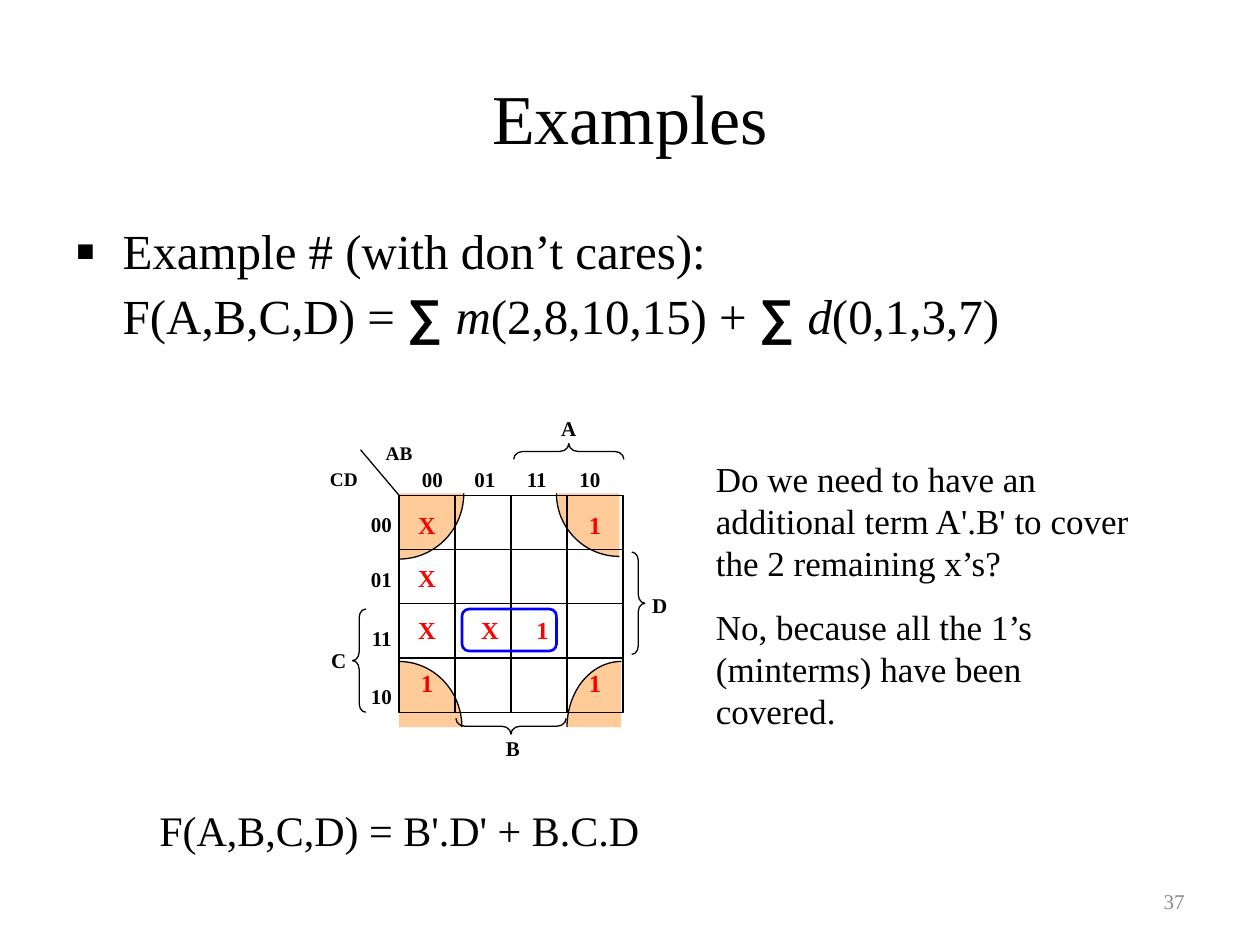
from lxml import etree
from pptx import Presentation
from pptx.dml.color import RGBColor
from pptx.enum.shapes import MSO_CONNECTOR, MSO_SHAPE
from pptx.enum.text import MSO_ANCHOR, MSO_AUTO_SIZE, PP_ALIGN
from pptx.oxml.ns import qn
from pptx.util import Pt

LEFT, CENTER, RIGHT = PP_ALIGN.LEFT, PP_ALIGN.CENTER, PP_ALIGN.RIGHT
TOP, MIDDLE = MSO_ANCHOR.TOP, MSO_ANCHOR.MIDDLE
NO_FIT, GROW = MSO_AUTO_SIZE.NONE, MSO_AUTO_SIZE.SHAPE_TO_FIT_TEXT
ARC, RECTANGLE, ROUNDED = MSO_SHAPE.ARC, MSO_SHAPE.RECTANGLE, MSO_SHAPE.ROUNDED_RECTANGLE
LEFT_BRACE, RIGHT_BRACE = MSO_SHAPE.LEFT_BRACE, MSO_SHAPE.RIGHT_BRACE
STRAIGHT = MSO_CONNECTOR.STRAIGHT

THEME = {
    "serif": "Times New Roman", "sans": "Arial",
    "ink": RGBColor(0, 0, 0), "mark": RGBColor(255, 0, 0),
    "loop": RGBColor(0, 0, 255), "corner": RGBColor(255, 204, 153),
    "muted": RGBColor(137, 137, 137),
    "title": 40, "body": 28, "answer": 24, "remark": 20,
    "cell": 14, "label": 12, "axis": 11, "thin": 0.75, "thick": 1.5,
}

# Content: boxes are left, top, width, height in points
SUM = ("∑ ", {"name": THEME["sans"], "bold": True})
STATEMENT = [
    [("Example # (with don’t cares):", {})],
    [("F(A,B,C,D) = ", {}), SUM, ("m", {"italic": True}), ("(2,8,10,15) + ", {}),
     SUM, ("d", {"italic": True}), ("(0,1,3,7)", {})],
]
REMARKS = [
    "Do we need to have an additional term A'.B' to cover the 2 remaining x’s?",
    "No, because all the 1’s (minterms) have been covered.",
]
ANSWER = "F(A,B,C,D) = B'.D' + B.C.D"
CODES = ["00", "01", "11", "10"]
CODE_GAPS = [0, 17, 19, 19]
CODE_PITCH = 30
MAP_ROWS = ["X  1", "X   ", "XX1 ", "1  1"]  # one character per cell
MARK_LEFTS, MARK_TOP, MARK_PITCH = [228, 264, 294, 324], 288, 30
GRID_BOX = (228, 283, 128, 124)
# Quarter ellipses: centre x, centre y, radius x, radius y, start angle
CORNERS = [
    (355, 415.5, 31, 37.5, 180), (228, 415.5, 36, 37.5, 270),
    (354, 282, 36, 36, 90), (228, 282, 37, 37.5, 0),
]
# Kind, box before rotation, rotation
BRACES = [
    (LEFT_BRACE, (201.5, 348, 7.5, 59), 0), (LEFT_BRACE, (320.5, 226.5, 9, 63), 90),
    (LEFT_BRACE, (287.5, 383.5, 9, 63), 270), (RIGHT_BRACE, (361, 315.5, 7.5, 58.5), 0),
]
VARIABLES = [
    ("C", (181.5, 366.5, 24, 25), "label"), ("A", (313, 234, 24, 19), "label"),
    ("B", (281, 417, 24, 19), "label"), ("D", (365, 335, 24, 24.5), "label"),
    ("CD", (174, 263.5, 45, 21), "axis"), ("AB", (209.5, 248.5, 37, 21), "axis"),
]


def set_values(target, values):
    for name, value in values.items():
        setattr(target, name, value)


def add_text(slide, box, paragraphs, size, color="ink", bold=False, anchor=TOP,
             fit=NO_FIT, **layout):
    """Add a text box; each paragraph is a string or a list of (text, font values)."""
    frame = slide.shapes.add_textbox(*map(Pt, box)).text_frame
    set_values(frame, {"word_wrap": True, "auto_size": fit, "vertical_anchor": anchor})
    for index, content in enumerate(paragraphs):
        paragraph = frame.add_paragraph() if index else frame.paragraphs[0]
        set_values(paragraph, layout)
        for text, changes in [(content, {})] if isinstance(content, str) else content:
            run = paragraph.add_run()
            run.text = text
            run.font.color.rgb = THEME[color]
            set_values(run.font, {"name": THEME["serif"], "size": Pt(THEME[size]),
                                  "bold": bold, **changes})
    return frame


def add_child(parent, tag, **attributes):
    values = {name: str(value) for name, value in attributes.items()}
    return etree.SubElement(parent, qn(tag), values)


def add_outline(slide, kind, box, color="ink", width="thin", fill=None):
    shape = slide.shapes.add_shape(kind, *map(Pt, box))
    shape.shadow.inherit = False
    shape.line.color.rgb = THEME[color]
    shape.line.width = Pt(THEME[width])
    if fill:
        shape.fill.solid()
        shape.fill.fore_color.rgb = THEME[fill]
    else:
        shape.fill.background()
    return shape


def add_line(slide, *ends):
    line = slide.shapes.add_connector(STRAIGHT, *map(Pt, ends))
    line.line.color.rgb = THEME["ink"]
    line.line.width = Pt(THEME["thin"])
    add_child(line._element.spPr, "a:effectLst")
    return line


def add_statement(slide):
    frame = add_text(slide, (36, 126, 630, 78), STATEMENT, "body",
                     line_spacing=0.9, space_before=Pt(7))
    for index, paragraph in enumerate(frame.paragraphs):
        properties = paragraph._p.get_or_add_pPr()
        properties.set("marL", str(Pt(27)))
        properties.set("indent", str(0 if index else Pt(-27)))
        if index == 0:
            color = add_child(properties, "a:buClr")
            add_child(color, "a:srgbClr", val=THEME["ink"])
            add_child(properties, "a:buSzPct", val=120000)
            add_child(properties, "a:buFont", typeface=THEME["serif"])
            add_child(properties, "a:buChar", char="▪")


def add_grid(slide):
    left, top, width, height = GRID_BOX
    right, bottom = left + width, top + height
    grid = add_outline(slide, RECTANGLE, GRID_BOX)
    for step in range(1, 5):
        y = top + step * height / 4
        row_line = add_line(slide, left, y, right, y)
        if step == 2:
            row_line.begin_connect(grid, 1)
            row_line.end_connect(grid, 3)
    for step in range(1, 4):
        x = left + step * width / 4
        column_line = add_line(slide, x, top, x, bottom)
        if step == 2:
            column_line.begin_connect(grid, 0)
            column_line.end_connect(grid, 2)
    add_line(slide, left, top, 206, 257)


def add_codes(slide):
    rows = add_text(slide, (203, 289, 28, 129), CODES, "label", bold=True, alignment=RIGHT)
    for paragraph, gap in zip(rows.paragraphs, CODE_GAPS):
        paragraph.space_before = Pt(gap)
    columns = add_text(slide, (234, 263, 119.5, 25), ["\t".join(CODES)], "label",
                       bold=True, alignment=LEFT)
    tabs = add_child(columns.paragraphs[0]._p.get_or_add_pPr(), "a:tabLst")
    for step in range(1, len(CODES)):
        add_child(tabs, "a:tab", pos=Pt(step * CODE_PITCH), algn="l")


def add_map(slide):
    for x, y, radius_x, radius_y, start in CORNERS:
        box = (x - radius_x, y - radius_y, 2 * radius_x, 2 * radius_y)
        corner = add_outline(slide, ARC, box, fill="corner")
        for index, angle in enumerate((start, (start + 90) % 360)):
            corner.adjustments[index] = angle * 0.6  # 60000 units a degree, over 100000
    add_grid(slide)
    for kind, box, rotation in BRACES:
        brace = add_outline(slide, kind, box)
        brace.rotation = rotation
        brace.adjustments[0] = box[3] / 12 / box[2]
    for text, box, size in VARIABLES:
        add_text(slide, box, [text], size, bold=True, alignment=CENTER)
    add_codes(slide)
    for row, marks in enumerate(MAP_ROWS):
        for left, mark in zip(MARK_LEFTS, marks):
            if mark != " ":
                add_text(slide, (left, MARK_TOP + row * MARK_PITCH, 32, 25), [mark],
                         "cell", "mark", bold=True, alignment=CENTER)
    add_outline(slide, ROUNDED, (264, 348, 54, 24), "loop", "thick")


def main():
    presentation = Presentation()
    set_values(presentation, {"slide_width": Pt(720), "slide_height": Pt(540)})
    slide = presentation.slides.add_slide(presentation.slide_layouts[6])
    add_text(slide, (36, 21.6, 648, 90), ["Examples"], "title", anchor=MIDDLE,
             alignment=CENTER)
    add_statement(slide)
    add_text(slide, (516, 500.5, 168, 28.75), ["37"], "label", "muted", anchor=MIDDLE,
             alignment=RIGHT)
    add_map(slide)
    add_text(slide, (84, 456, 318, 36), [ANSWER], "answer", fit=GROW, space_before=Pt(15))
    add_text(slide, (402, 258, 252, 164), REMARKS, "remark", fit=GROW,
             space_before=Pt(12.5))
    presentation.save("out.pptx")


if __name__ == "__main__":
    main()
